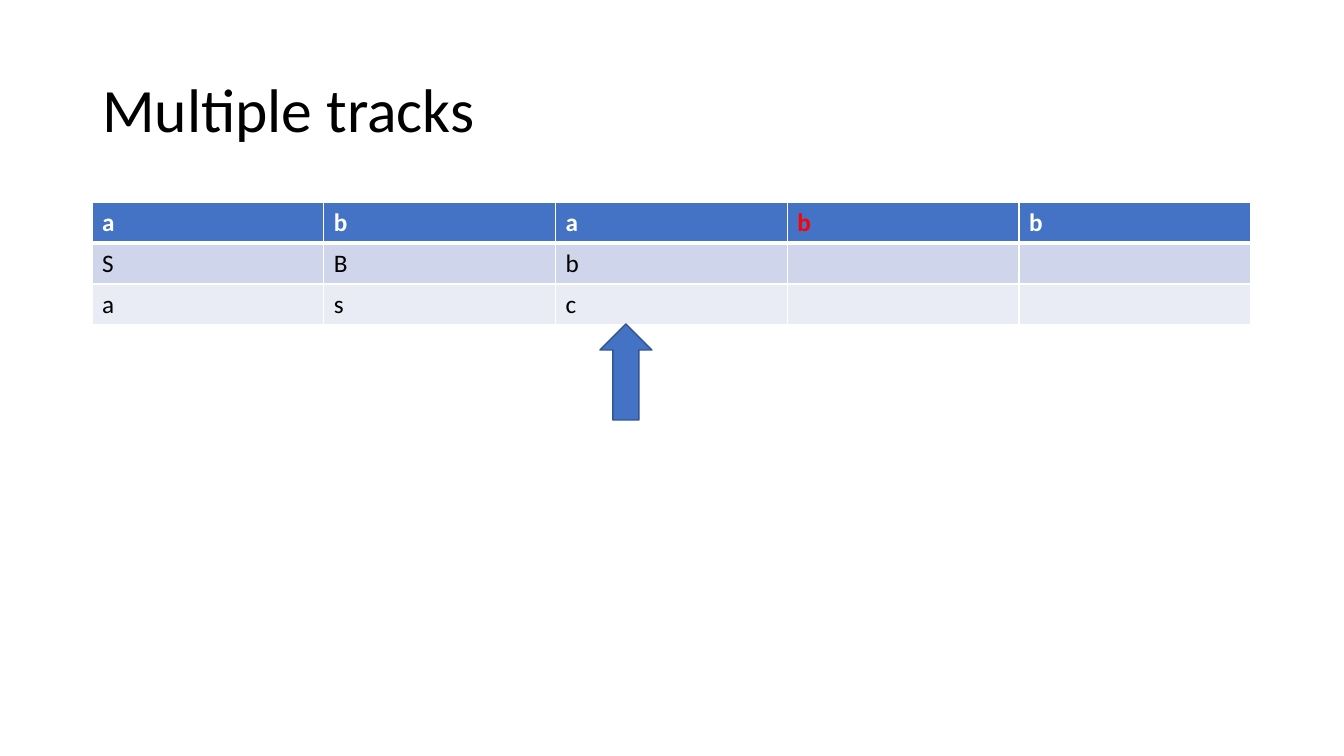
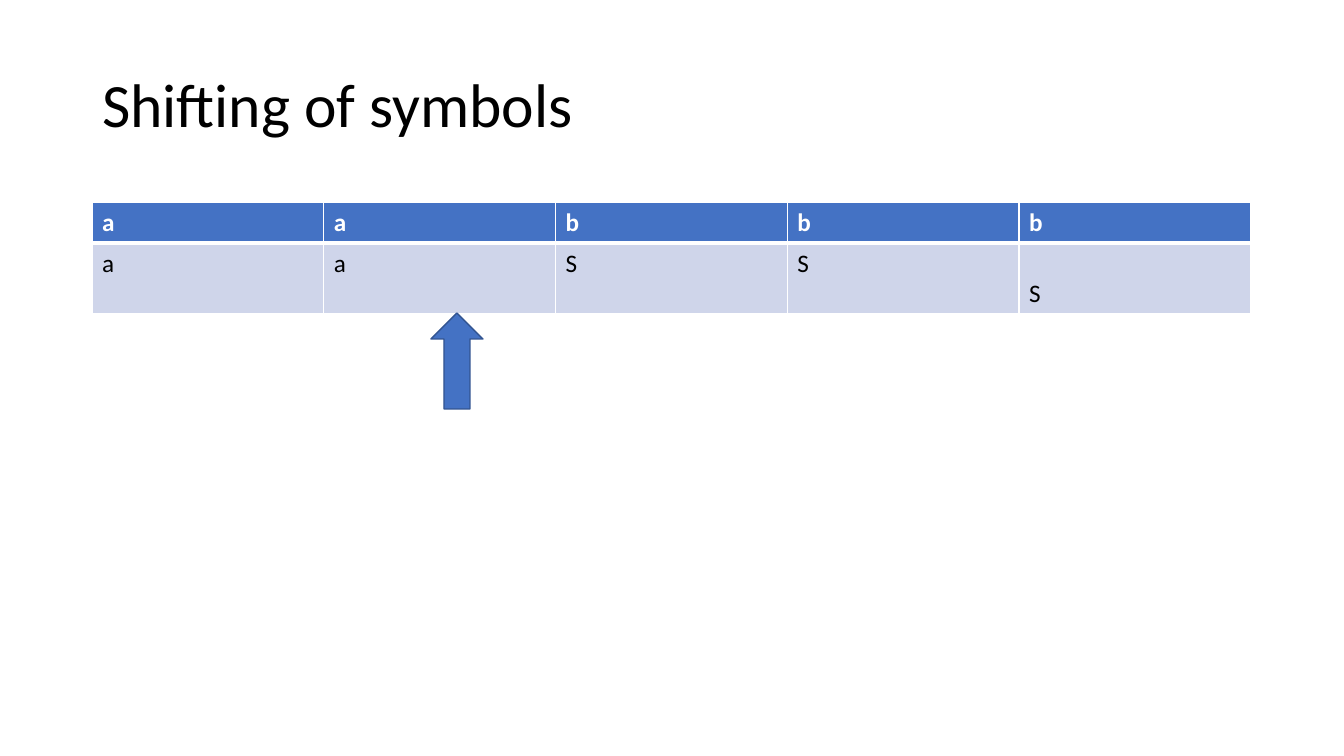
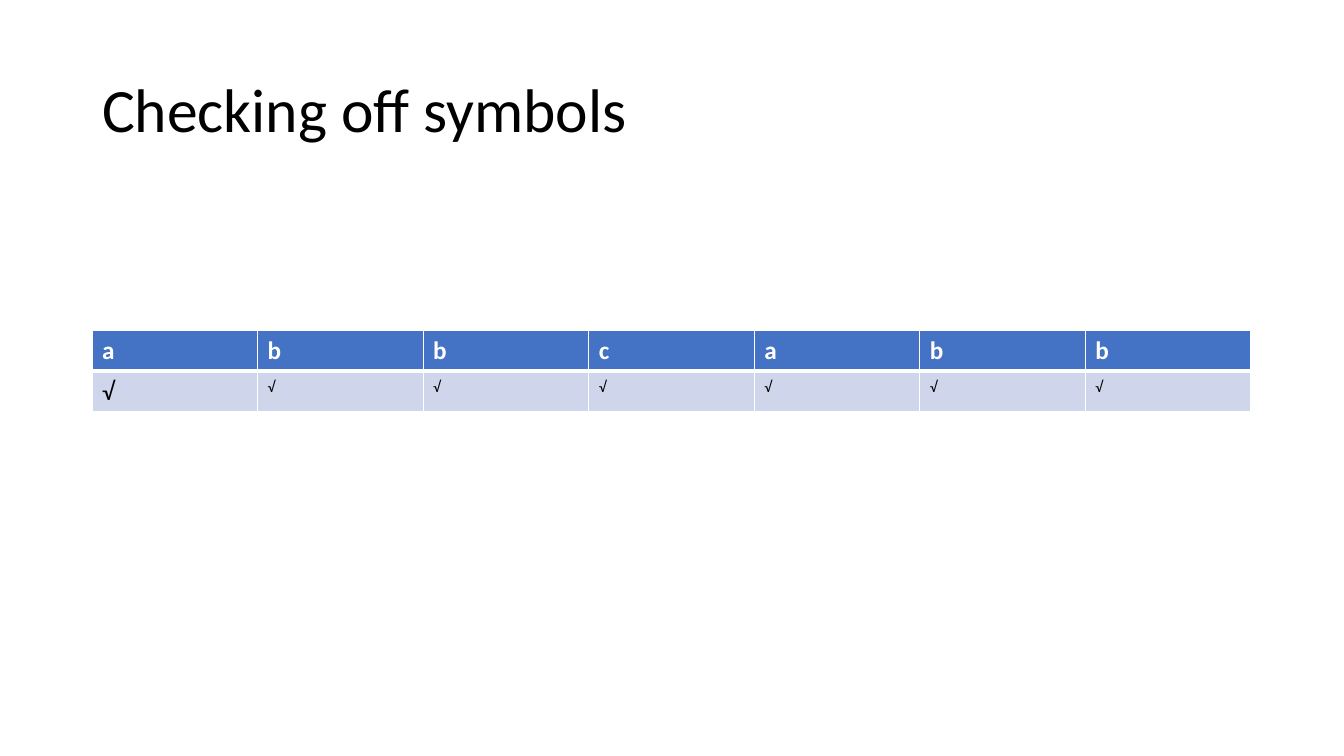
from dataclasses import dataclass
from typing import NamedTuple

from lxml.etree import SubElement
from pptx import Presentation
from pptx.dml.color import RGBColor as Rgb
from pptx.enum.shapes import MSO_SHAPE as Shape
from pptx.enum.text import MSO_ANCHOR as Anchor, MSO_AUTO_SIZE as AutoSize, PP_ALIGN as Align
from pptx.oxml.ns import qn
from pptx.util import Pt

EMU_PER_PX = 914400 / 100.8


@dataclass(frozen=True)
class Theme:
    font: str = "Calibri"
    text: str = "000000"
    light: str = "FFFFFF"
    accent: str = "4472C4"
    accent_edge: str = "325491"
    highlight: str = "FF0000"
    bands: tuple = ("CFD5EA", "E9EBF5")
    title_size: int = 44
    body_size: int = 18
    small_size: int = 11
    thin: int = 1
    thick: int = 3


class Box(NamedTuple):
    left: int
    top: int
    width: int
    height: int


THEME = Theme()
MARGIN = 92
CONTENT_WIDTH = 1159
ROW_HEIGHT = 41


def px(length):
    return round(length * EMU_PER_PX)


def place(item, box):
    item.left, item.top, item.width, item.height = map(px, box)


def write(frame, text, size=THEME.body_size, color=THEME.text, bold=False,
          spacing=None, after=None):
    para = frame.paragraphs[0]
    para.alignment = Align.LEFT
    if spacing:
        para.line_spacing = spacing
    if after:
        para.space_after = Pt(after)
    span = para.add_run()
    span.text = text
    span.font.name = THEME.font
    span.font.size = Pt(size)
    span.font.bold = bold
    span.font.color.rgb = Rgb.from_string(color)


def add_page(deck, title, box):
    page = deck.slides.add_slide(deck.slide_layouts[5])
    heading = page.shapes.title
    place(heading, box)
    frame = heading.text_frame
    frame.auto_size = AutoSize.NONE
    frame.vertical_anchor = Anchor.MIDDLE
    write(frame, title, size=THEME.title_size, spacing=0.9)
    return page


def set_borders(cell, top, bottom):
    properties = cell._tc.get_or_add_tcPr()
    widths = {"lnL": THEME.thin, "lnR": THEME.thin, "lnT": top, "lnB": bottom}
    for side, width in widths.items():
        line = SubElement(properties, qn(f"a:{side}"), w=str(Pt(width)))
        fill = SubElement(line, qn("a:solidFill"))
        SubElement(fill, qn("a:srgbClr"), val=THEME.light)


def add_tape(page, box, tracks, heights, formats=None):
    formats = formats or {}
    count = len(tracks[0])
    table = page.shapes.add_table(len(tracks), count, *map(px, box)).table
    for column in table.columns:
        column.width = px(box.width / count)
    for row, (symbols, height) in enumerate(zip(tracks, heights)):
        table.rows[row].height = px(height)
        header = row == 0
        base = {"color": THEME.light if header else THEME.text, "bold": header}
        fill = THEME.accent if header else THEME.bands[(row - 1) % 2]
        for column, symbol in enumerate(symbols):
            cell = table.cell(row, column)
            set_borders(cell, top=THEME.thick if row == 1 else THEME.thin,
                        bottom=THEME.thick if header else THEME.thin)
            cell.fill.solid()
            cell.fill.fore_color.rgb = Rgb.from_string(fill)
            if symbol.strip():
                write(cell.text_frame, symbol, **{**base, **formats.get((row, column), {})})
    return table


def add_head(page, tape, offset):
    box = Box(tape.left + offset, tape.top + tape.height - 1, 52, 96)
    arrow = page.shapes.add_shape(Shape.UP_ARROW, *map(px, box))
    arrow.shadow.inherit = False
    arrow.fill.solid()
    arrow.fill.fore_color.rgb = Rgb.from_string(THEME.accent)
    arrow.line.color.rgb = Rgb.from_string(THEME.accent_edge)
    arrow.line.width = Pt(THEME.thin)


def tape_page(deck, title, tracks, title_top=40, top=202, heights=None,
              formats=None, head_offset=None):
    page = add_page(deck, title, Box(MARGIN, title_top, CONTENT_WIDTH, 146))
    heights = heights or [ROW_HEIGHT] * len(tracks)
    box = Box(MARGIN, top, CONTENT_WIDTH, sum(heights))
    table = add_tape(page, box, tracks, heights, formats)
    if head_offset is not None:
        add_head(page, box, head_offset)
    return table


def main():
    deck = Presentation()
    deck.slide_width, deck.slide_height = px(1344), px(756)

    tape_page(deck, "Multiple tracks", ["ababb", "SBb  ", "asc  "],
              formats={(0, 3): {"color": THEME.highlight}}, head_offset=508)

    shifted = tape_page(deck, "Shifting of symbols", ["aabbb", "aaSSS"],
                        title_top=35, heights=[ROW_HEIGHT, 71], head_offset=339)
    shifted.cell(1, 4).vertical_anchor = Anchor.BOTTOM

    small = {"size": THEME.small_size, "spacing": 1.07, "after": 8}
    symbols = "abbcabb"
    tape_page(deck, "Checking off symbols", [symbols, "√" * len(symbols)], top=330,
              formats={(1, column): small for column in range(1, len(symbols))})

    deck.save("out.pptx")


if __name__ == "__main__":
    main()
